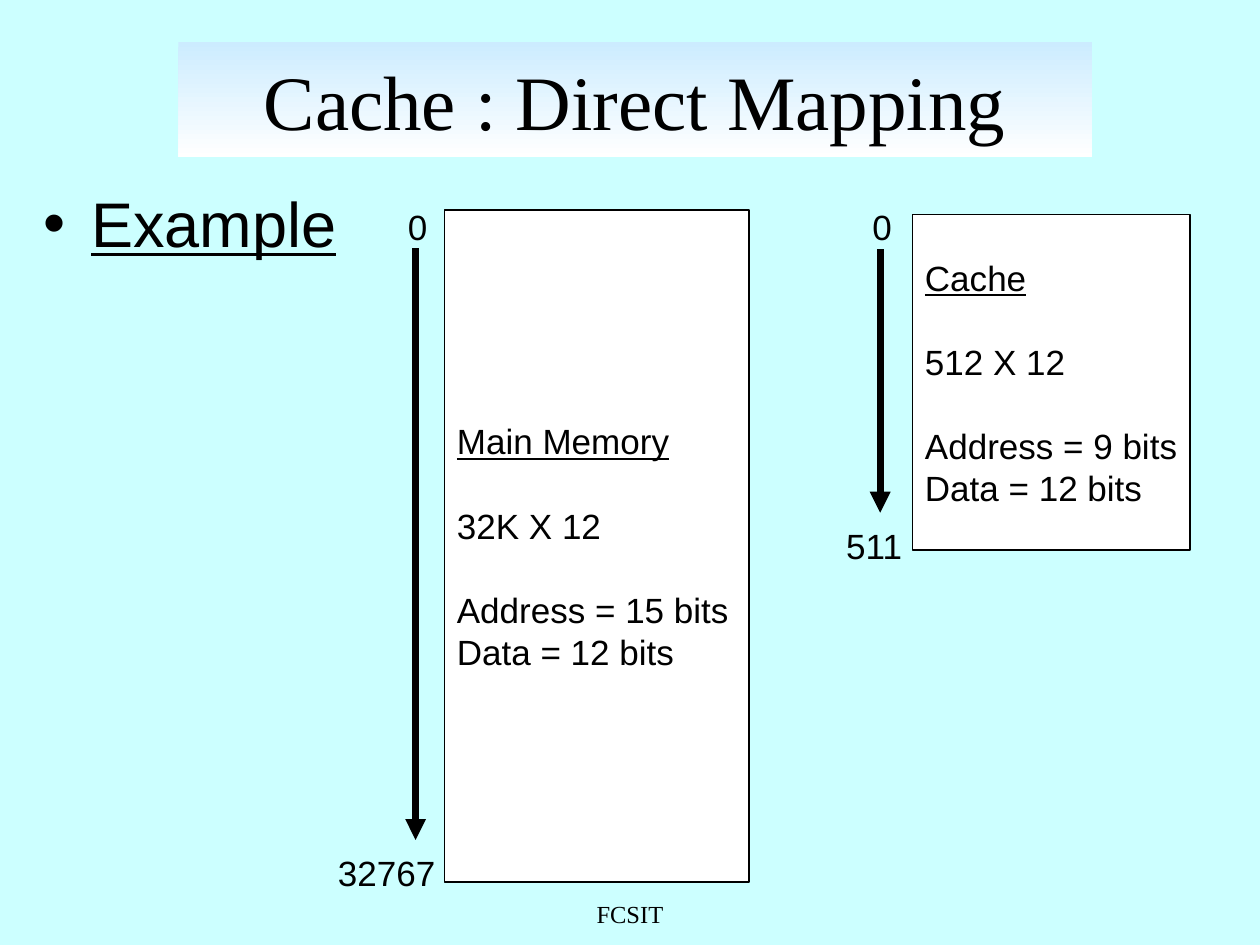
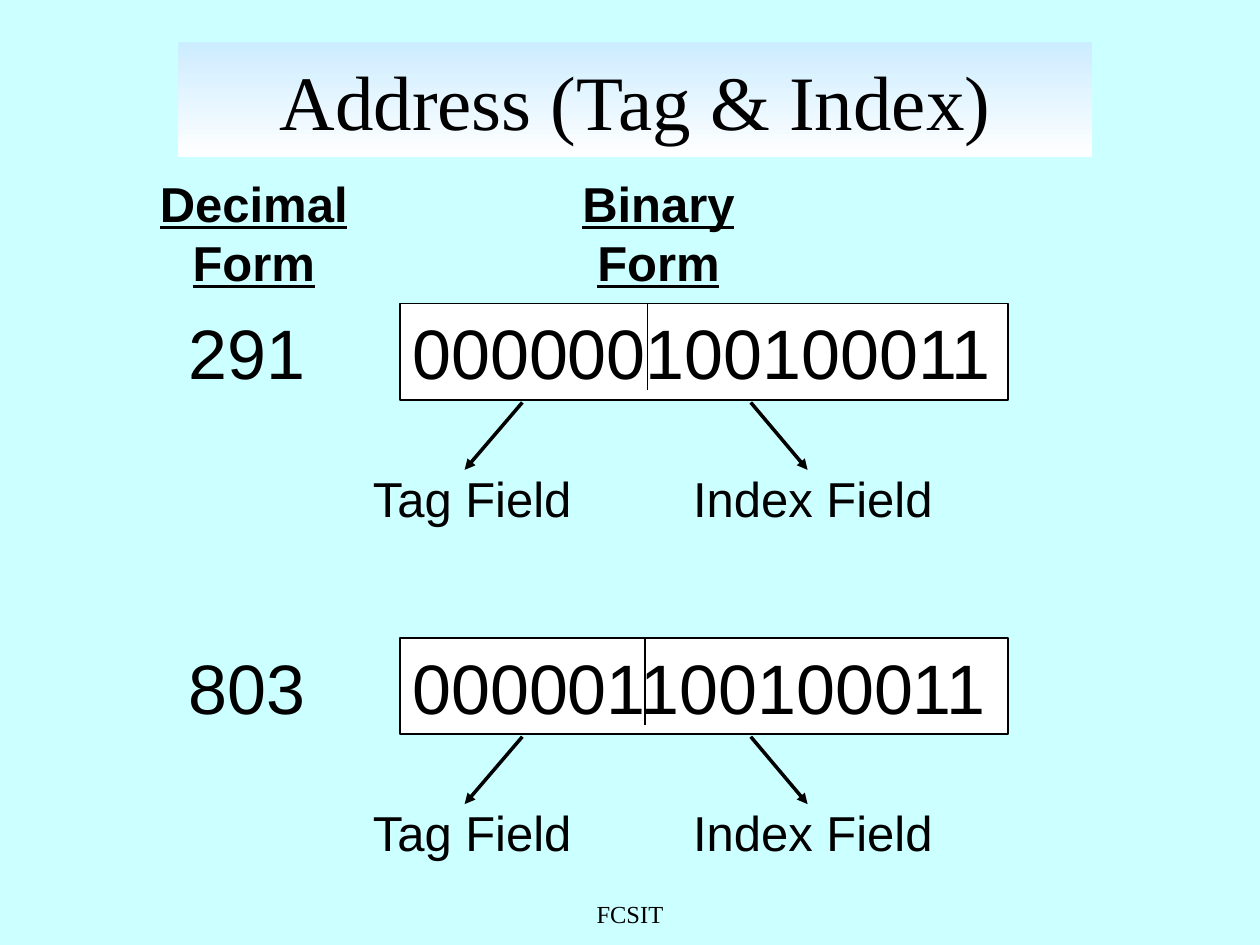
from lxml.etree import SubElement
from pptx import Presentation
from pptx.dml.color import RGBColor
from pptx.enum.shapes import MSO_CONNECTOR as LINK, MSO_SHAPE as SHAPE
from pptx.enum.text import MSO_ANCHOR as ANCHOR, MSO_AUTO_SIZE as FIT, PP_ALIGN as ALIGN
from pptx.oxml.ns import qn
from pptx.util import Pt

hue = RGBColor.from_string
INK, PAPER, SKY, BAND = "000000", "FFFFFF", "CCFFFF", "CCECFF"
SANS, SERIF = "Arial", "Times New Roman"


def write(slide, lines, spot, size, boxed=False, face=SANS, align=ALIGN.LEFT):
    """Add a text box or outlined box; each line is (text, style, space before).

    The letters b and u in a style mean bold and underlined.
    """
    spot = [Pt(n) for n in spot]
    if boxed:
        shape = slide.shapes.add_shape(SHAPE.RECTANGLE, *spot)
        shape.shadow.inherit = False
        shape.fill.solid()
        shape.fill.fore_color.rgb = hue(PAPER)
        shape.line.color.rgb = hue(INK)
        shape.line.width = Pt(1)
    else:
        shape = slide.shapes.add_textbox(*spot)
    frame = shape.text_frame
    frame.word_wrap = False
    frame.vertical_anchor = ANCHOR.TOP
    for i, (text, style, gap) in enumerate(lines):
        para = frame.paragraphs[0] if i == 0 else frame.add_paragraph()
        para.alignment = align
        if gap:
            para.space_before = Pt(gap)
        run = para.add_run()
        run.text = text
        font = run.font
        font.name, font.size = face, Pt(size)
        font.bold, font.underline = "b" in style, "u" in style
        font.color.rgb = hue(INK)
    return shape


def draw(slide, start, end, width, arrow=True):
    line = slide.shapes.add_connector(LINK.STRAIGHT, *[Pt(n) for n in (*start, *end)])
    line.line.color.rgb = hue(INK)
    line.line.width = Pt(width)
    if arrow:
        SubElement(line._element.spPr.find(qn("a:ln")), qn("a:tailEnd"), type="triangle")
    SubElement(line._element.spPr, qn("a:effectLst"))


deck = Presentation()
deck.slide_width, deck.slide_height = Pt(720), Pt(540)
back = deck.slide_master.background.fill
back.solid()
back.fore_color.rgb = hue(SKY)

# Title band and footer
for text in ("Cache : Direct Mapping", "Address (Tag & Index)"):
    slide = deck.slides.add_slide(deck.slide_layouts[5])
    title = slide.shapes.title
    title.left, title.top, title.width, title.height = Pt(102), Pt(24), Pt(522), Pt(66)
    title.fill.gradient()
    title.fill.gradient_angle = 270
    for stop, tint in zip(title.fill.gradient_stops, (BAND, PAPER)):
        stop.color.rgb = hue(tint)
    frame = title.text_frame
    frame.auto_size = FIT.NONE
    frame.vertical_anchor = ANCHOR.MIDDLE
    para = frame.paragraphs[0]
    para.alignment = ALIGN.CENTER
    run = para.add_run()
    run.text = text
    run.font.name, run.font.size = SERIF, Pt(44)
    run.font.color.rgb = hue(INK)
    write(slide, [("FCSIT", "", 0)], (246, 510, 228, 18), 14,
          face=SERIF, align=ALIGN.CENTER)

memory, address = deck.slides

# Slide 1: main memory beside the cache
item = write(memory, [("Example", "u", 0)], (18, 102, 204, 78), 36)
item.text_frame.word_wrap = True
props = item.text_frame.paragraphs[0]._p.get_or_add_pPr()
props.set("marL", str(Pt(27)))
props.set("indent", str(-Pt(27)))
SubElement(props, qn("a:buFont"), typeface=SANS)
SubElement(props, qn("a:buChar"), char="•")

# name, size, address bits, box, last address and its spot, x of zero, arrow
stores = [
    ("Main Memory", "32K X 12", 15, (254, 120, 174, 384),
     "32767", (186, 483, 70, 31), 226, (237.5, 142, 480)),
    ("Cache", "512 X 12", 9, (521.5, 122.5, 158.5, 192),
     "511", (476.5, 296, 47.5, 31), 491.5, (503, 142.5, 293)),
]
for name, cells, bits, box, last, spot, left, (x, top, bottom) in stores:
    lines = [(name, "u", 0), (cells, "", 24),
             (f"Address = {bits} bits", "", 24), ("Data = 12 bits", "", 0)]
    block = write(memory, lines, box, 20, boxed=True)
    block.text_frame.vertical_anchor = ANCHOR.MIDDLE
    write(memory, [("0", "", 0)], (left, 114, 25, 31), 20)
    write(memory, [(last, "", 0)], spot, 20)
    draw(memory, (x, top), (x, bottom), 4)

# Slide 2: addresses split into tag and index
for name, left, width in (("Decimal", 84, 122), ("Binary", 325.5, 101.5)):
    write(address, [(name, "bu", 0), ("Form", "bu", 0)], (left, 95.5, width, 74), 28,
          align=ALIGN.CENTER)

rows = [("291", "000000100100011", 370), ("803", "000001100100011", 368.75)]
fields = [("Tag Field", 206, 131, 298.5, 265.5), ("Index Field", 389, 151, 429, 461.5)]
for i, (number, digits, split) in enumerate(rows):
    top = 173.5 + 191 * i
    write(address, [(digits, "", 0)], (228.5, top, 347.5, 55), 40, boxed=True)
    write(address, [(number, "", 0)], (100.5, top, 84, 55), 40)
    draw(address, (split, top), (split, top + 49.5), 1, arrow=False)
    for name, left, width, start, end in fields:
        draw(address, (start, top + 56.5), (end, top + 95), 2)
        write(address, [(name, "", 0)], (left, top + 90.5, width, 40.5), 28)

deck.save("out.pptx")
